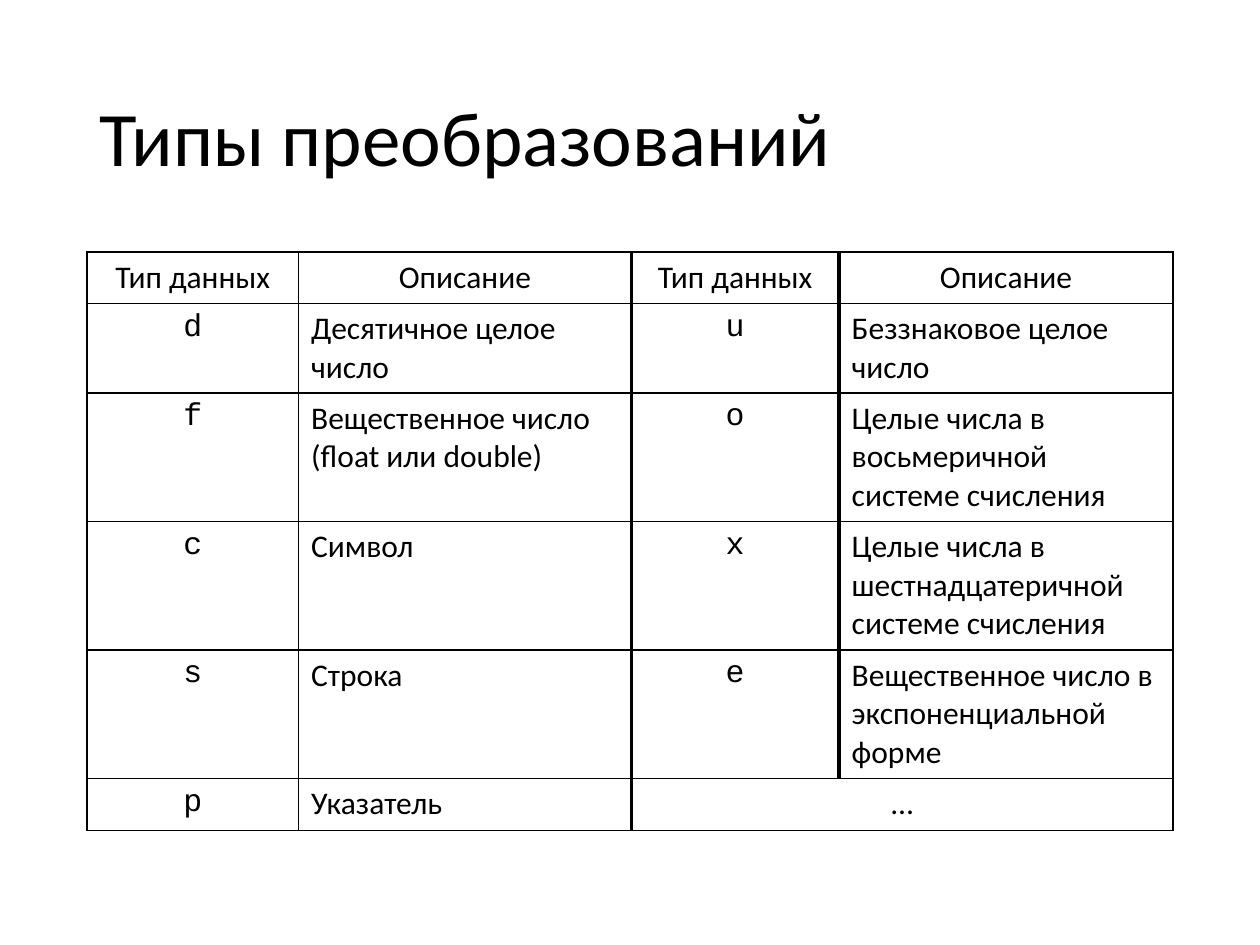
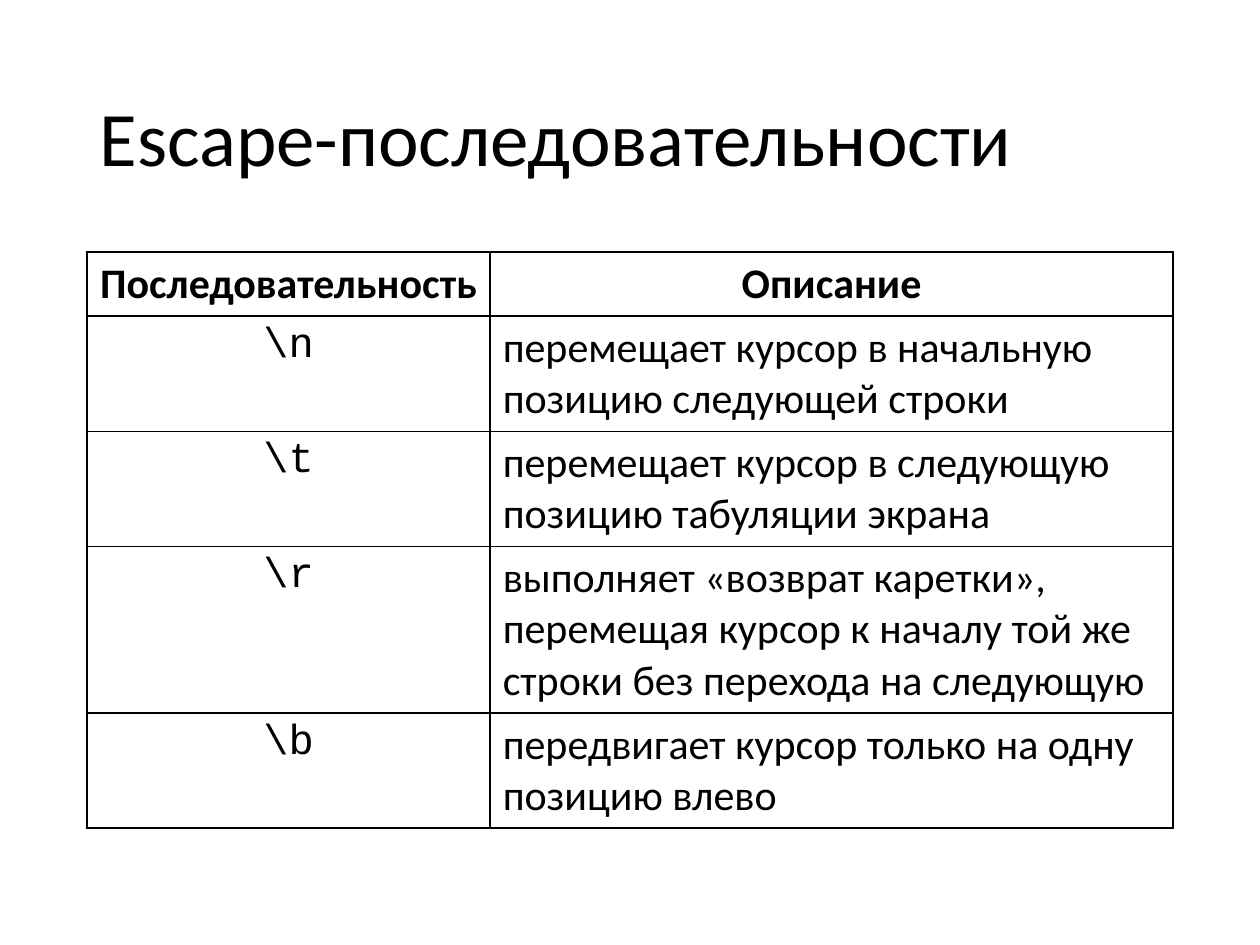
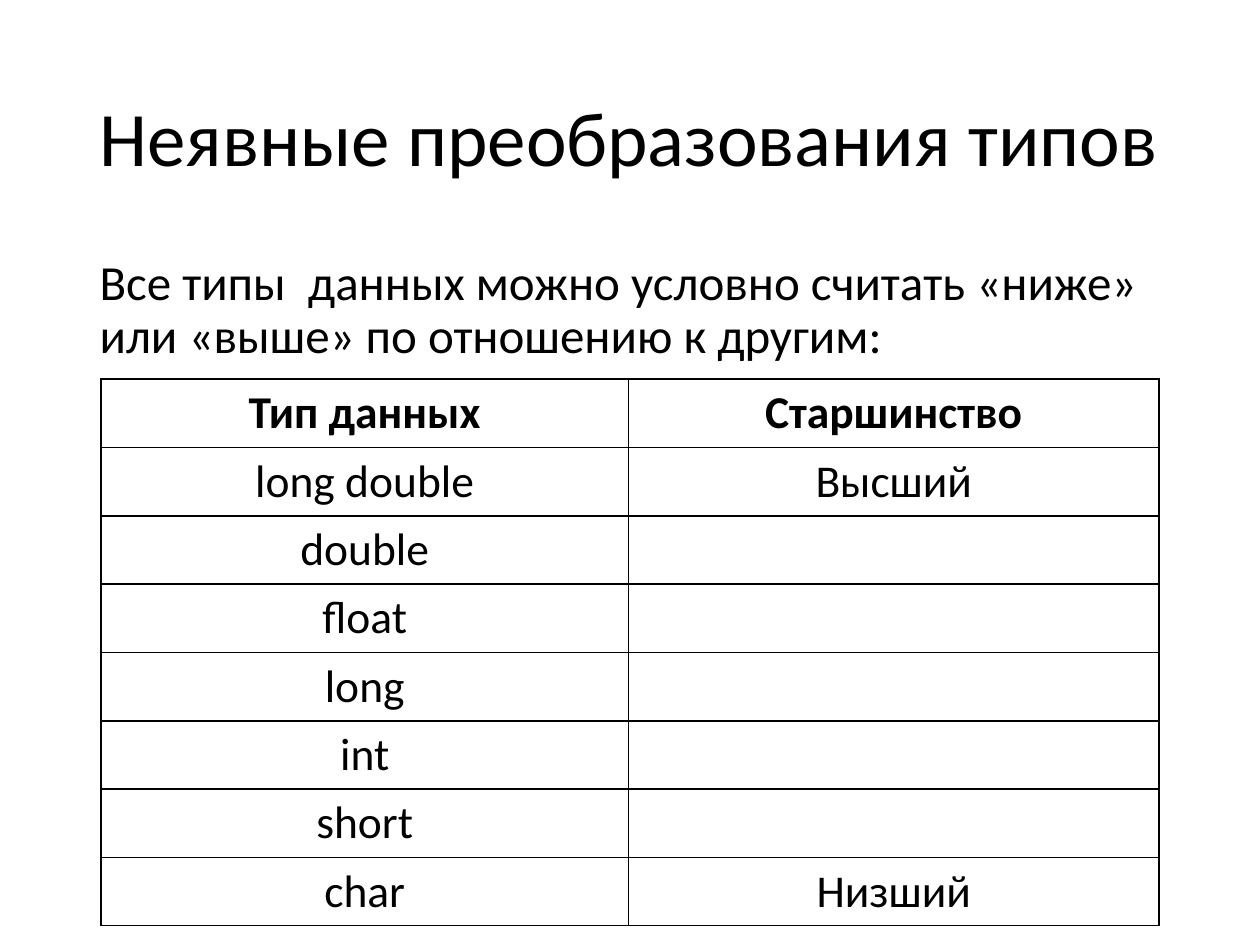
from lxml import etree
from pptx import Presentation
from pptx.dml.color import RGBColor
from pptx.enum.text import MSO_ANCHOR, MSO_AUTO_SIZE, PP_ALIGN
from pptx.oxml.ns import qn
from pptx.util import Inches, Pt

LEFT, CENTER = PP_ALIGN.LEFT, PP_ALIGN.CENTER
MIDDLE, TOP = MSO_ANCHOR.MIDDLE, MSO_ANCHOR.TOP
NO_FIT = MSO_AUTO_SIZE.NONE
COLORS = {"ink": "000000"}
SANS, MONO = "Calibri", "Courier New"
THIN, THICK = Pt(1), Pt(2.25)
MARGIN, CONTENT_TOP, CONTENT_WIDTH = 0.69, 2, 8.62

deck = Presentation()
deck.slide_width, deck.slide_height = Inches(10), Inches(7.5)
CONTENT_LAYOUT, TITLE_LAYOUT = deck.slide_layouts[1], deck.slide_layouts[5]


def write(frame, text, size, align=LEFT, face=SANS, bold=False):
    frame.text = text
    paragraph = frame.paragraphs[0]
    paragraph.alignment = align
    font = paragraph.runs[0].font
    font.size, font.name, font.bold = Pt(size), face, bold
    font.color.rgb = RGBColor.from_string(COLORS["ink"])
    return paragraph


def place(holder, top, height, anchor):
    holder.left, holder.top = Inches(MARGIN), Inches(top)
    holder.width, holder.height = Inches(CONTENT_WIDTH), Inches(height)
    holder.text_frame.auto_size = NO_FIT
    holder.text_frame.vertical_anchor = anchor


topics = [
    {
        "title": "Типы преобразований",
        "left": MARGIN, "top": CONTENT_TOP, "size": 18, "bold_header": False,
        "columns": [1.68, 2.64, 1.65, 2.65],
        "heights": [0.41, 0.71, 1.02, 1.02, 1.02, 0.41],
        "centered": [0, 2], "mono": [0, 2], "thick_edges": [2, 3],
        "rows": [
            ["Тип данных", "Описание", "Тип данных", "Описание"],
            ["d", "Десятичное целое число", "u", "Беззнаковое целое число"],
            ["f", "Вещественное число (float или double)",
             "o", "Целые числа в восьмеричной системе счисления"],
            ["c", "Символ", "x", "Целые числа в шестнадцатеричной системе счисления"],
            ["s", "Строка", "e", "Вещественное число в экспоненциальной форме"],
            ["p", "Указатель", "…", ""],
        ],
    },
    {
        "title": "Escape-последовательности",
        "left": MARGIN, "top": CONTENT_TOP, "size": 24, "bold_header": True,
        "columns": [3.2, 5.42],
        "heights": [0.51, 0.91, 0.91, 1.32, 0.91],
        "centered": [0], "mono": [0], "thick_edges": [],
        "rows": [
            ["Последовательность", "Описание"],
            ["\\n", "перемещает курсор в начальную позицию следующей строки"],
            ["\\t", "перемещает курсор в следующую позицию табуляции экрана"],
            ["\\r", "выполняет «возврат каретки», перемещая курсор к началу "
                    "той же строки без перехода на следующую"],
            ["\\b", "передвигает курсор только на одну позицию влево"],
        ],
    },
    {
        "title": "Неявные преобразования типов",
        "intro": "Все типы  данных можно условно считать «ниже» или «выше» "
                 "по отношению к другим:",
        "left": 0.8, "top": 3.01, "size": 26, "bold_header": True,
        "columns": [4.19, 4.21],
        "heights": [0.54] * 8,
        "centered": [0, 1], "mono": [], "thick_edges": [],
        "rows": [
            ["Тип данных", "Старшинство"],
            ["long double", "Высший"],
            ["double", ""],
            ["float", ""],
            ["long", ""],
            ["int", ""],
            ["short", ""],
            ["char", "Низший"],
        ],
    },
]

for topic in topics:
    intro = topic.get("intro")
    slide = deck.slides.add_slide(CONTENT_LAYOUT if intro else TITLE_LAYOUT)
    place(slide.shapes.title, 0.4, 1.45, MIDDLE)
    write(slide.shapes.title.text_frame, topic["title"], 44).line_spacing = 0.9

    if intro:
        body = slide.placeholders[1]
        place(body, CONTENT_TOP, 4.76, TOP)
        intro_line = write(body.text_frame, intro, 28)
        properties = intro_line._p.get_or_add_pPr()
        properties.set("marL", "0")
        properties.set("indent", "0")
        etree.SubElement(properties, qn("a:buNone"))
        intro_line.line_spacing = 0.9
        intro_line.space_before = Pt(0)

    rows, columns, heights = topic["rows"], topic["columns"], topic["heights"]
    table = slide.shapes.add_table(
        len(rows), len(columns), Inches(topic["left"]), Inches(topic["top"]),
        Inches(sum(columns)), Inches(sum(heights))).table
    table.first_row = table.horz_banding = False
    for column, width in zip(table.columns, columns):
        column.width = Inches(width)

    for r, row in enumerate(rows):
        table.rows[r].height = Inches(heights[r])
        for c, text in enumerate(row):
            cell = table.cell(r, c)
            header, ellipsis = r == 0, text == "…"
            if text:
                centered = header or ellipsis or c in topic["centered"]
                mono = c in topic["mono"] and not header and not ellipsis
                write(cell.text_frame, text, topic["size"], CENTER if centered else LEFT,
                      MONO if mono else SANS, header and topic["bold_header"])
            edges = {"L": c, "R": c + 1, "T": None, "B": None}
            for side, edge in edges.items():
                inside_merge = "…" in row and edge == 3
                thick = edge in topic["thick_edges"] and not inside_merge
                border = etree.SubElement(cell._tc.get_or_add_tcPr(), qn("a:ln" + side),
                                          w=str(THICK if thick else THIN))
                paint = etree.SubElement(border, qn("a:solidFill"))
                etree.SubElement(paint, qn("a:srgbClr"), val=COLORS["ink"])
            cell.fill.background()
        if "…" in row:
            table.cell(r, 2).merge(table.cell(r, 3))

deck.save("out.pptx")
